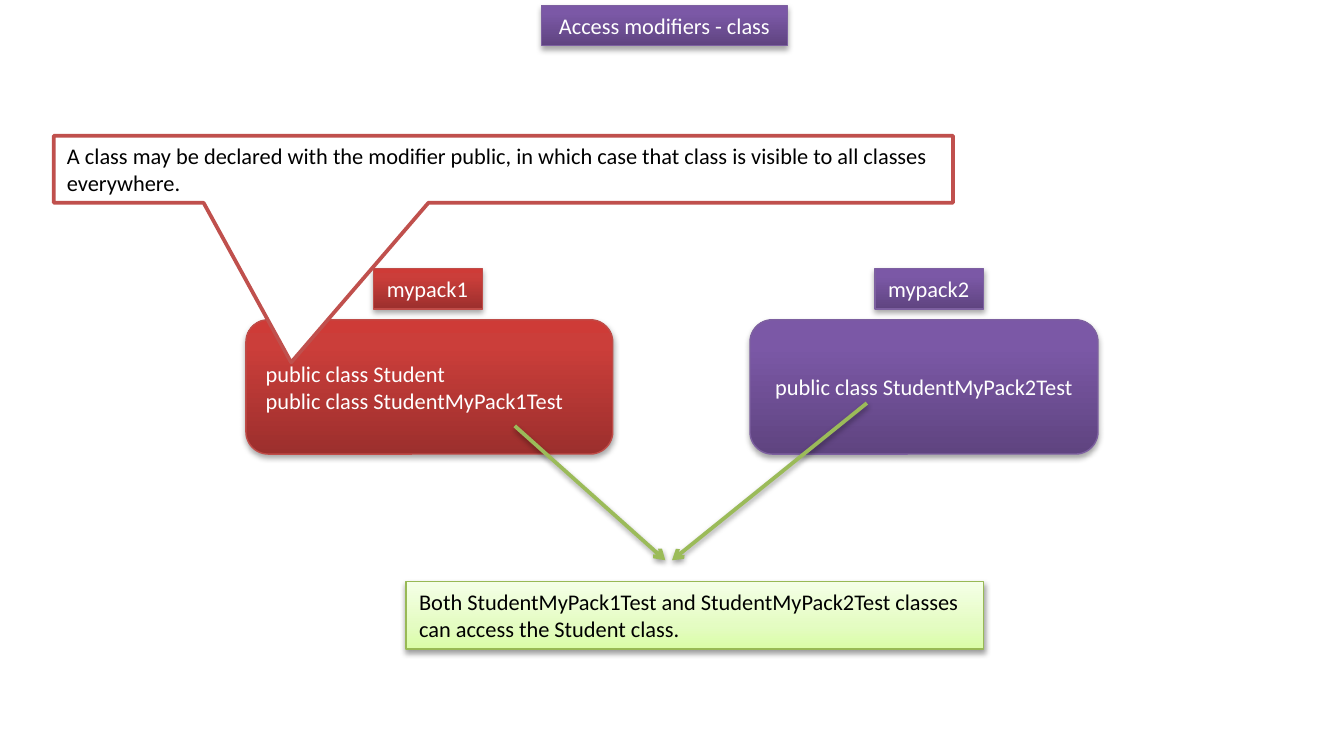
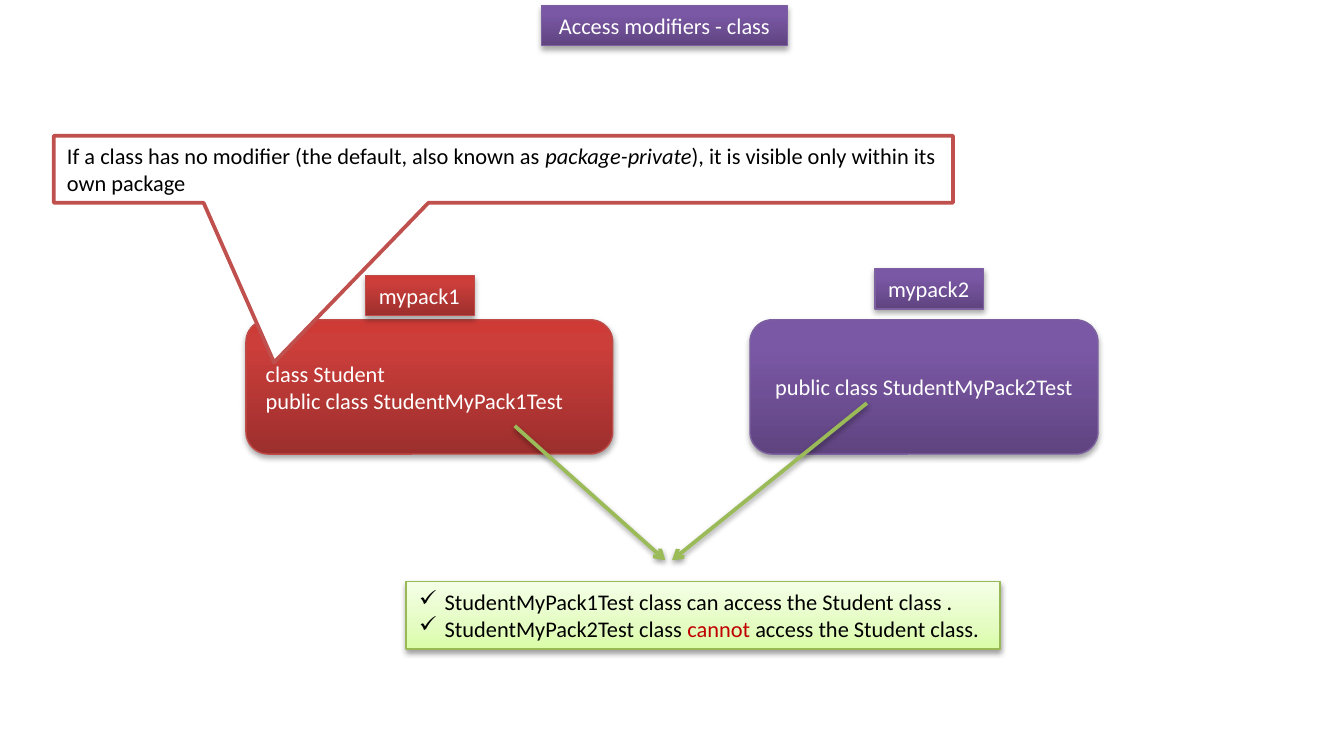
from dataclasses import dataclass

from lxml import etree
from pptx import Presentation
from pptx import util as u
from pptx.dml.color import RGBColor
from pptx.enum import shapes, text
from pptx.oxml.ns import qn


@dataclass(frozen=True)
class Paint:
    stops: tuple
    line: str
    ink: str
    shadow: tuple


@dataclass(frozen=True)
class Theme:
    font: str = "Calibri"
    size: float = 12
    thin: float = 0.75
    thick: float = 2
    white: str = "FFFFFF"
    black: str = "000000"
    alert: str = "C00000"
    callout: str = "C0504D"
    arrow: str = "9BBB59"
    strong_shadow: tuple = (35, 1.8)
    soft_shadow: tuple = (38, 1.6)
    blur: float = 3.1


THEME = Theme()
PURPLE = Paint(((0, "5F4480"), (80, "7B58A6"), (100, "7C57A8")),
               "7D60A0", THEME.white, THEME.strong_shadow)
RED = Paint(((0, "9C2F2D"), (80, "CB3E3A"), (100, "CE3B37")),
            "BF4C48", THEME.white, THEME.strong_shadow)
GREEN = Paint(((0, "DAFDA7"), (35, "E4FCC2"), (100, "F5FFE7")),
              "98B955", THEME.black, THEME.soft_shadow)

COLUMNS = 100
SLIDE_WIDTH, SLIDE_HEIGHT = u.Inches(10), u.Inches(5.5)
CELL = SLIDE_WIDTH / COLUMNS

TITLE = "Access modifiers - class"
TITLE_BOX = (40.3, 0.4, 18.3, 3)
CALLOUT_BOX = (4, 10.1, 66.9, 5)
PACKAGE_TOP, PACKAGE_HEIGHT = 23.8, 10
FIRST_PACKAGE = (18.3, PACKAGE_TOP, 27.3, PACKAGE_HEIGHT)
SECOND_PACKAGE = (55.8, PACKAGE_TOP, 25.9, PACKAGE_HEIGHT)
TAG_SIZE = (8.1, 3)
SECOND_TAG = (65.1, 20)
NOTE_LEFT, NOTE_TOP, NOTE_HEIGHT = 30.2, 43.3, 5
ARROWS = [((38.3, 31.7), (49.5, 41.7)), ((64.5, 30), (50, 41.7))]

SLIDES = [
    {
        "callout": [[("A class may be declared with the modifier\u00a0public, in which case "
                      "that class is visible to all classes everywhere.", {})]],
        "pointer": (-0.236, 2.876),
        "student": "public class Student",
        "first_tag": (27.8, 20),
        "note_width": 43,
        "bullet": None,
        "note": [
            [("Both StudentMyPack1Test and StudentMyPack2Test classes", {})],
            [("can access the Student class.", {})],
        ],
    },
    {
        "callout": [[("If a class has no modifier (the default, also known as\u00a0", {}),
                     ("package-private", {"italic": True}),
                     ("), it is visible only within its own package", {})]],
        "pointer": (-0.255, 2.876),
        "student": "class Student",
        "first_tag": (27.2, 20.5),
        "note_width": 44.2,
        "bullet": "✓",
        "note": [
            [("StudentMyPack1Test class can access the Student class .", {})],
            [("StudentMyPack2Test class ", {}),
             ("cannot", {"color": THEME.alert}),
             (" access the Student class.", {})],
        ],
    },
]


def cells(values):
    return [round(value * CELL) for value in values]


def plain(*lines):
    return [[(line, {})] for line in lines]


def add_child(parent, tag, **attributes):
    child = etree.SubElement(parent, qn(tag))
    for name, value in attributes.items():
        child.set(name, str(value))
    return child


def cast_shadow(properties, opacity, distance):
    effects = properties.find(qn("a:effectLst"))
    if effects is None:
        effects = add_child(properties, "a:effectLst")
    shadow = add_child(effects, "a:outerShdw", blurRad=int(u.Pt(THEME.blur)),
                       dist=int(u.Pt(distance)), dir=5400000, rotWithShape=0)
    color = add_child(shadow, "a:srgbClr", val=THEME.black)
    add_child(color, "a:alpha", val=opacity * 1000)


def set_line(line, color, width):
    line.color.rgb = RGBColor.from_string(color)
    line.width = u.Pt(width)


def paint_shape(shape, paint):
    shape.fill.gradient()
    shape.fill.gradient_angle = 90
    properties = shape.element.spPr
    stop_list = properties.find(".//" + qn("a:gsLst"))
    for stop in list(stop_list):
        stop_list.remove(stop)
    for position, color in paint.stops:
        stop = add_child(stop_list, "a:gs", pos=position * 1000)
        add_child(stop, "a:srgbClr", val=color)
    set_line(shape.line, paint.line, THEME.thin)
    cast_shadow(properties, *paint.shadow)


def write(shape, paragraphs, ink, centered=False, middle=False, wrap=True, bullet=None):
    frame = shape.text_frame
    frame.word_wrap = wrap
    frame.vertical_anchor = text.MSO_ANCHOR.MIDDLE if middle else text.MSO_ANCHOR.TOP
    frame.auto_size = (text.MSO_AUTO_SIZE.NONE if middle
                       else text.MSO_AUTO_SIZE.SHAPE_TO_FIT_TEXT)
    for index, runs in enumerate(paragraphs):
        paragraph = frame.add_paragraph() if index else frame.paragraphs[0]
        paragraph.alignment = text.PP_ALIGN.CENTER if centered else text.PP_ALIGN.LEFT
        if bullet:
            properties = paragraph._p.get_or_add_pPr()
            indent = u.Inches(0.19)
            properties.set("marL", str(int(indent)))
            properties.set("indent", str(-int(indent)))
            add_child(properties, "a:buChar", char=bullet)
        for words, style in runs:
            run = paragraph.add_run()
            run.text = words
            run.font.name = THEME.font
            run.font.size = u.Pt(THEME.size)
            run.font.italic = style.get("italic", False)
            run.font.color.rgb = RGBColor.from_string(style.get("color", ink))


def add_box(slide, kind, box, paragraphs, paint, **layout):
    shape = slide.shapes.add_shape(kind, *cells(box))
    shape.shadow.inherit = False
    paint_shape(shape, paint)
    write(shape, paragraphs, paint.ink, **layout)


def add_arrow(slide, start, end):
    connector = slide.shapes.add_connector(shapes.MSO_CONNECTOR.STRAIGHT,
                                           *cells(start + end))
    set_line(connector.line, THEME.arrow, THEME.thick)
    properties = connector.element.spPr
    add_child(properties.find(qn("a:ln")), "a:tailEnd", type="arrow")
    cast_shadow(properties, *THEME.soft_shadow)


def add_callout(slide, paragraphs, pointer):
    shape = slide.shapes.add_shape(shapes.MSO_SHAPE.RECTANGULAR_CALLOUT,
                                   *cells(CALLOUT_BOX))
    shape.shadow.inherit = False
    for index, value in enumerate(pointer):
        shape.adjustments[index] = value
    shape.fill.solid()
    shape.fill.fore_color.rgb = RGBColor.from_string(THEME.white)
    set_line(shape.line, THEME.callout, THEME.thick)
    write(shape, paragraphs, THEME.black, middle=True)


def build_slide(presentation, content):
    slide = presentation.slides.add_slide(presentation.slide_layouts[6])
    rectangle = shapes.MSO_SHAPE.RECTANGLE
    rounded = shapes.MSO_SHAPE.ROUNDED_RECTANGLE
    add_box(slide, rectangle, TITLE_BOX, plain(TITLE), PURPLE, centered=True)
    add_box(slide, rounded, FIRST_PACKAGE,
            plain(content["student"], "public class StudentMyPack1Test"), RED, middle=True)
    add_box(slide, rounded, SECOND_PACKAGE,
            plain("public class StudentMyPack2Test"), PURPLE, centered=True, middle=True)
    for name, corner, paint in (("mypack1", content["first_tag"], RED),
                                ("mypack2", SECOND_TAG, PURPLE)):
        add_box(slide, rectangle, corner + TAG_SIZE, plain(name), paint, wrap=False)
    for start, end in ARROWS:
        add_arrow(slide, start, end)
    note_box = (NOTE_LEFT, NOTE_TOP, content["note_width"], NOTE_HEIGHT)
    add_box(slide, rectangle, note_box, content["note"], GREEN,
            wrap=False, bullet=content["bullet"])
    add_callout(slide, content["callout"], content["pointer"])


def main():
    presentation = Presentation()
    presentation.slide_width, presentation.slide_height = SLIDE_WIDTH, SLIDE_HEIGHT
    for content in SLIDES:
        build_slide(presentation, content)
    presentation.save("out.pptx")


if __name__ == "__main__":
    main()
